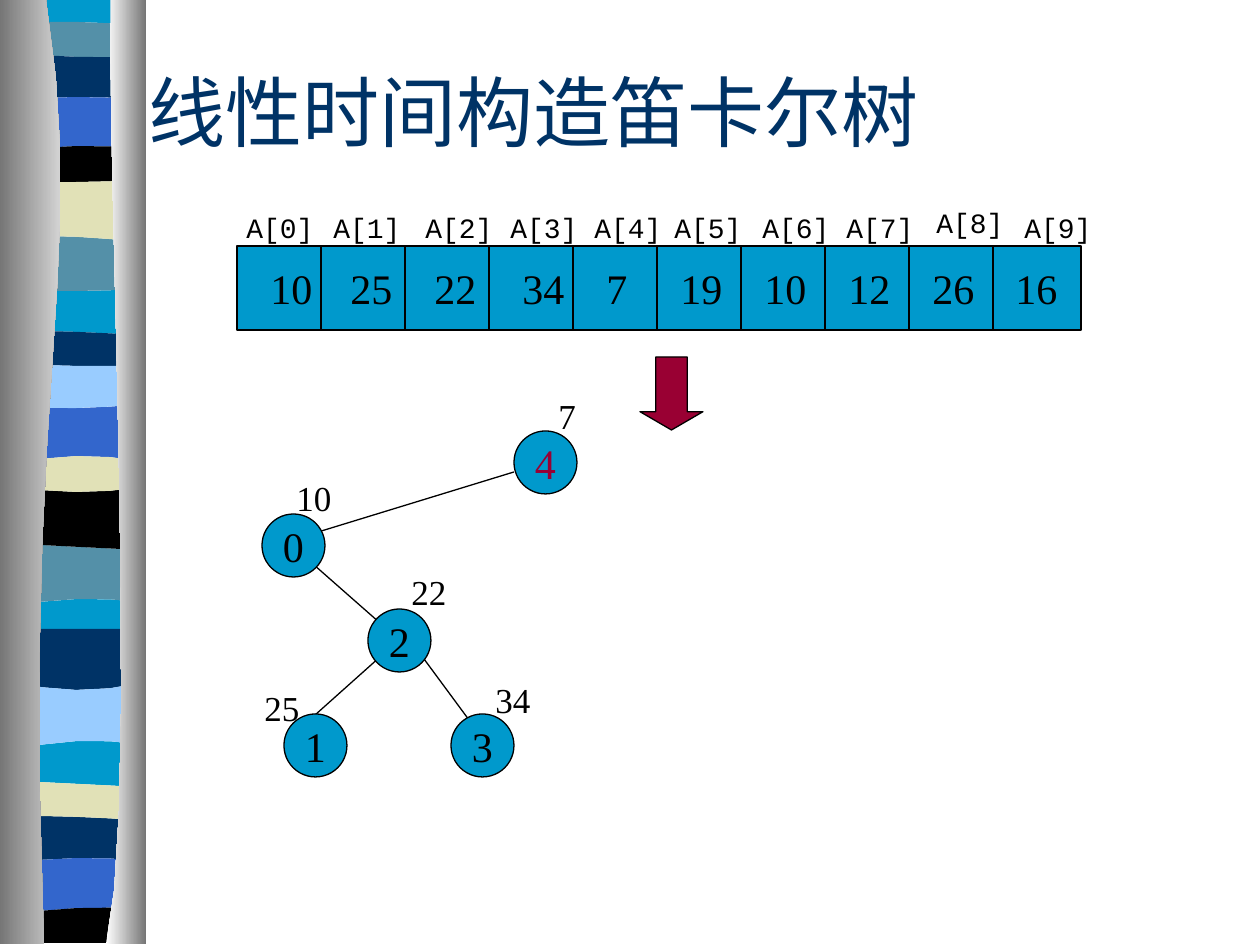
from pptx import Presentation
from pptx.dml.color import RGBColor
from pptx.enum.shapes import MSO_CONNECTOR, MSO_SHAPE
from pptx.enum.text import MSO_ANCHOR, PP_ALIGN
from pptx.oxml.ns import qn
from pptx.util import Emu, Pt
from lxml import etree

COLORS = {
    "black": "000000", "white": "FFFFFF", "sky": "0099CC", "teal": "5490A8",
    "navy": "003366", "blue": "3366CC", "cream": "E1E1B7", "pale": "99CCFF",
    "crimson": "990033", "gray": "767676", "light_gray": "D3D3D3",
}
SERIF, MONO = "Times New Roman", "Courier New"
CURVE_STEPS = 10

# Colour of each band and the height of its upper edge at x = 40, 80 and 120
BANDS = [
    ("sky", 0, 0, 0), ("teal", 22, 22, 24), ("navy", 55, 57, 57),
    ("blue", 98, 97, 98), ("black", 148, 146, 147), ("cream", 182, 182, 181),
    ("teal", 236, 237, 240), ("sky", 291, 291, 290), ("navy", 331, 332, 334),
    ("pale", 365, 366, 366), ("blue", 408, 408, 406), ("cream", 459, 456, 458),
    ("black", 490, 492, 490), ("teal", 545, 547, 549), ("sky", 602, 599, 600),
    ("navy", 629, 629, 629), ("pale", 687, 690, 687), ("sky", 745, 741, 742),
    ("cream", 782, 784, 786), ("navy", 816, 817, 819), ("blue", 860, 858, 859),
    ("black", 911, 908, 908),
]
# Value, its offset in the cell, offset of the index label (x, y)
CELLS = [
    ("10", 21, -3, 0), ("25", 17, 0, 0), ("22", 17, 8, 0), ("34", 21, 9, 0),
    ("7", 21, 9, 0), ("19", 11, 5, 0), ("10", 11, 9, 0), ("12", 11, 9, 0),
    ("26", 11, 15, -5), ("16", 10, 19, 0),
]
# Index, node position, value, value position, colour of the index
NODES = [
    ("4", (262, 43), "7", (294, 0), "crimson"),
    ("0", (10, 126), "10", (32, 82), "black"),
    ("2", (116, 221), "22", (147, 176), "black"),
    ("1", (32, 326), "25", (0, 292), "black"),
    ("3", (199, 326), "34", (231, 284), "black"),
]
EDGES = [
    (262, 84, 53, 148), (53, 169, 136, 242),
    (147, 252, 53, 336), (158, 252, 220, 336),
]


def px(length):
    return Emu(round(length * 914400 / 126))


def rgb(name):
    return RGBColor.from_string(COLORS[name])


def write(frame, text, size=24, font=SERIF, color="black", align=PP_ALIGN.LEFT,
          anchor=MSO_ANCHOR.TOP, wrap=True):
    frame.word_wrap = wrap
    frame.vertical_anchor = anchor
    paragraph = frame.paragraphs[0]
    paragraph.alignment = align
    run = paragraph.add_run()
    run.text = text
    run.font.size = Pt(size)
    run.font.name = font
    run.font.color.rgb = rgb(color)


def add_text(slide, left, top, width, height, text, **style):
    box = slide.shapes.add_textbox(px(left), px(top), px(width), px(height))
    write(box.text_frame, text, **style)


def add_outlined(slide, preset, left, top, width, height, fill):
    shape = slide.shapes.add_shape(preset, px(left), px(top), px(width), px(height))
    shape.shadow.inherit = False
    shape.fill.solid()
    shape.fill.fore_color.rgb = rgb(fill)
    shape.line.color.rgb = rgb("black")
    shape.line.width = Pt(0.75)
    return shape


def add_line(slide, x1, y1, x2, y2):
    line = slide.shapes.add_connector(MSO_CONNECTOR.STRAIGHT, px(x1), px(y1), px(x2), px(y2))
    line.line.color.rgb = rgb("black")
    line.line.width = Pt(0.75)
    etree.SubElement(line._element.spPr, qn("a:effectLst"))


def add_outline(slide, *contours):
    """Add one freeform without a line, made of closed contours in px."""
    builder = None
    for contour in contours:
        start, *rest = [(px(x), px(y)) for x, y in contour]
        if builder is None:
            builder = slide.shapes.build_freeform(*start, scale=1.0)
        else:
            builder.move_to(*start)
        builder.add_line_segments(rest, close=True)
    shape = builder.convert_to_shape()
    shape.shadow.inherit = False
    shape.line.fill.background()
    return shape


def bezier(p0, p1, p2, p3):
    points = []
    for step in range(CURVE_STEPS + 1):
        t = step / CURVE_STEPS
        weights = ((1 - t) ** 3, 3 * t * (1 - t) ** 2, 3 * t * t * (1 - t), t ** 3)
        points.append(tuple(sum(w * p[axis] for w, p in zip(weights, (p0, p1, p2, p3)))
                            for axis in (0, 1)))
    return points


def wave(left, top, heights):
    """Return the parabola through three heights, from x = 8 to x = 144."""
    first, middle, last = heights
    slope, bend = (last - first) / 2, (first + last) / 2 - middle
    units = [(x - 80) / 40 for x in range(8, 145, 34)]
    return [(left + 80 + 40 * u, top + middle + slope * u + bend * u * u) for u in units]


def add_column(slide, points, start, end):
    column = add_outline(slide, points)
    column.fill.gradient()
    column.fill.gradient_angle = 0
    for stop, color in zip(column.fill.gradient_stops, (start, end)):
        stop.color.rgb = rgb(color)


def draw_sidebar(slide, left, top, width, height):
    edges = [heights for _, *heights in BANDS] + [(height - 2,) * 3]
    contours = {}
    for (color, *_), upper, lower in zip(BANDS, edges, edges[1:]):
        band = wave(left, top, upper) + wave(left, top, lower)[::-1]
        contours.setdefault(color, []).append(band)
    for color, bands in contours.items():
        stripes = add_outline(slide, *bands)
        stripes.fill.solid()
        stripes.fill.fore_color.rgb = rgb(color)
    bottom = top + height - 1
    inner_left = bezier((left + 46, top), (left + 89, top + 272),
                        (left + 21, top + 373), (left + 44, bottom))
    add_column(slide, inner_left + [(left, bottom), (left, top)], "gray", "light_gray")
    inner_right = bezier((left + 111, top), (left + 106, top + 158),
                         (left + 140, top + 814), (left + 106, bottom))
    add_column(slide, inner_right + [(left + width, bottom), (left + width, top)],
               "white", "gray")


def draw_array(slide, left, top, width, height):
    add_outlined(slide, MSO_SHAPE.RECTANGLE, left, top, width, height, "sky")
    pitch = 84
    for index, (value, value_x, label_x, label_y) in enumerate(CELLS):
        cell = left + index * pitch
        if index:
            add_line(slide, cell, top, cell, top + height)
        add_text(slide, cell + value_x, top + 10, 67, 63, value, wrap=len(value) == 1)
        add_text(slide, cell + label_x, top - 42 + label_y, 92, 47, f"A[{index}]",
                 size=16, font=MONO, wrap=False)


def draw_tree(slide, left, top):
    for x1, y1, x2, y2 in EDGES:
        add_line(slide, left + x1, top + y1, left + x2, top + y2)
    for index, (x, y), value, (value_x, value_y), color in NODES:
        node = add_outlined(slide, MSO_SHAPE.OVAL, left + x, top + y, 63, 63, "sky")
        write(node.text_frame, index, color=color, align=PP_ALIGN.CENTER,
              anchor=MSO_ANCHOR.MIDDLE, wrap=False)
        add_text(slide, left + value_x, top + value_y, 63, 55, value, size=20)


def main():
    deck = Presentation()
    deck.slide_width, deck.slide_height = px(1260), px(945)
    slide = deck.slides.add_slide(deck.slide_layouts[6])
    draw_sidebar(slide, 0, 0, 146, 945)
    add_text(slide, 136, 32, 1124, 157, "线性时间构造笛卡尔树", size=44, color="navy",
             anchor=MSO_ANCHOR.MIDDLE)
    draw_array(slide, 237, 246, 844, 84)
    arrow = add_outlined(slide, MSO_SHAPE.DOWN_ARROW, 640, 357, 63, 73, "crimson")
    arrow.adjustments[1] = 0.29
    draw_tree(slide, 252, 388)
    deck.save("out.pptx")


if __name__ == "__main__":
    main()
